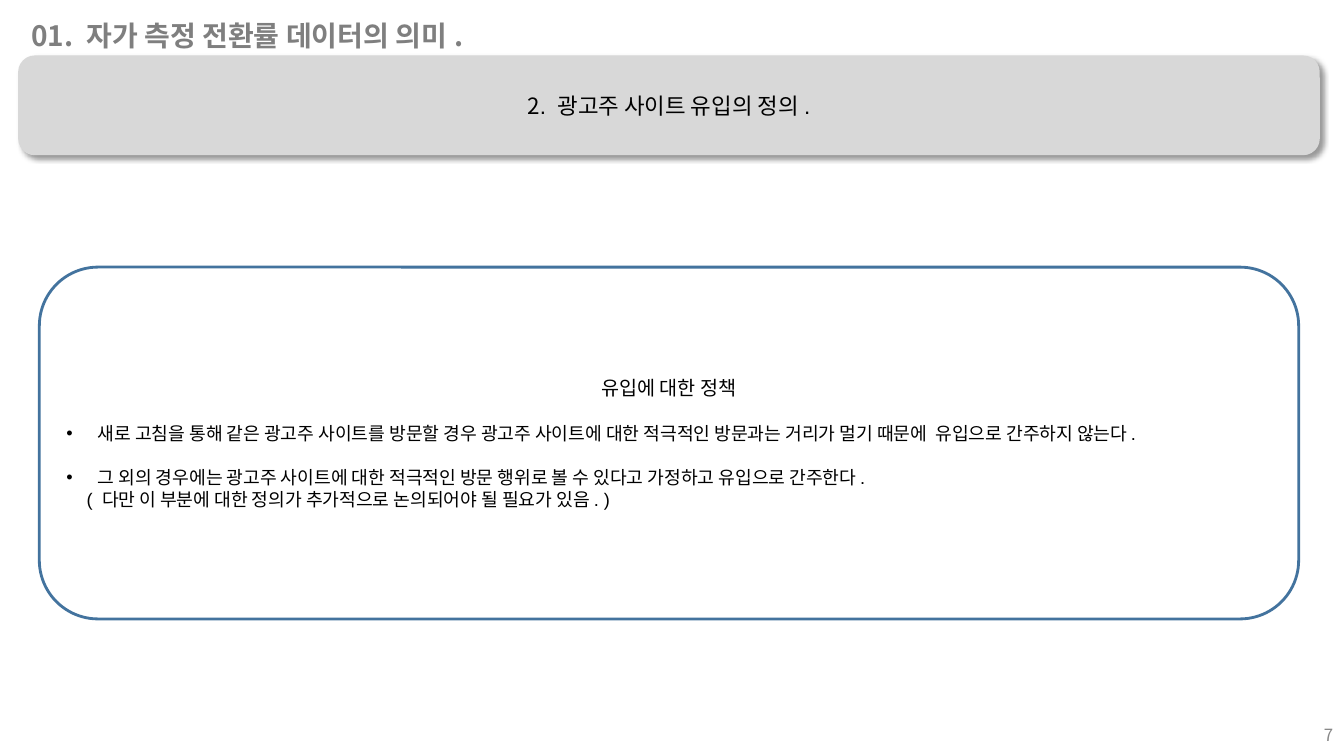
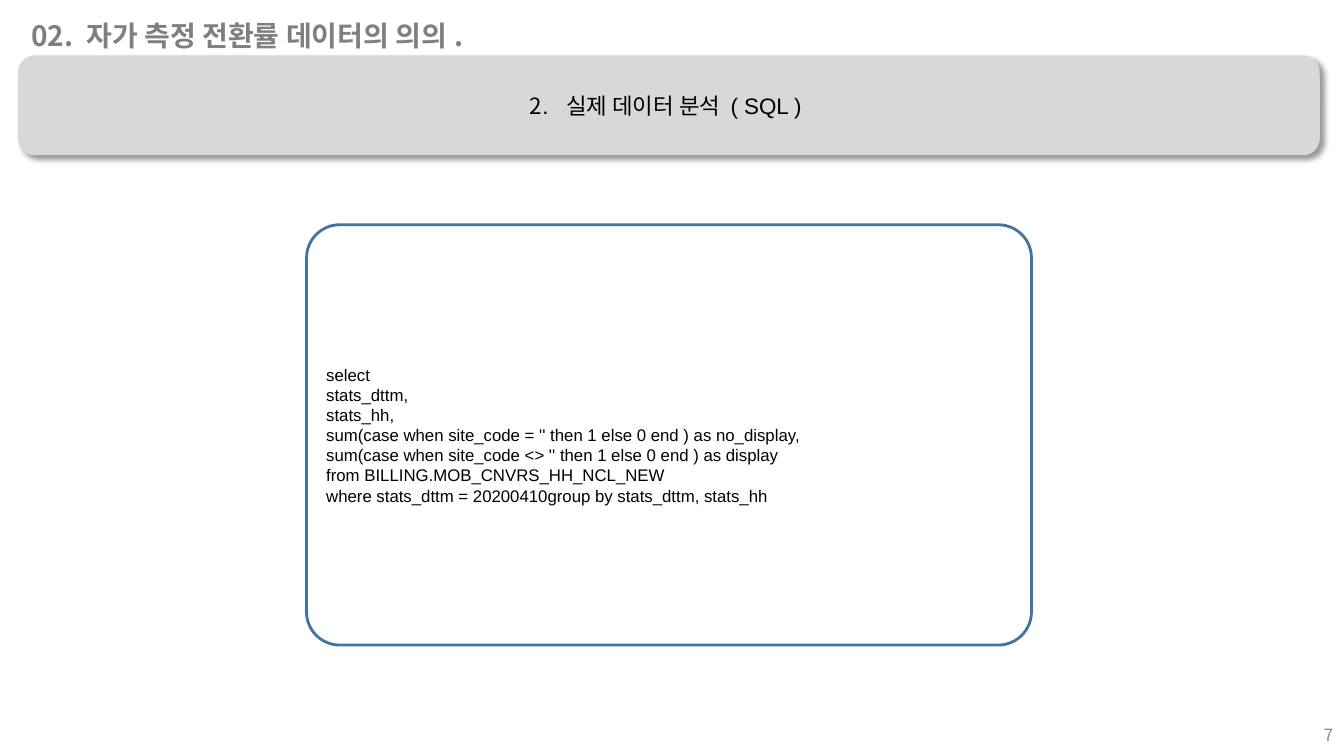
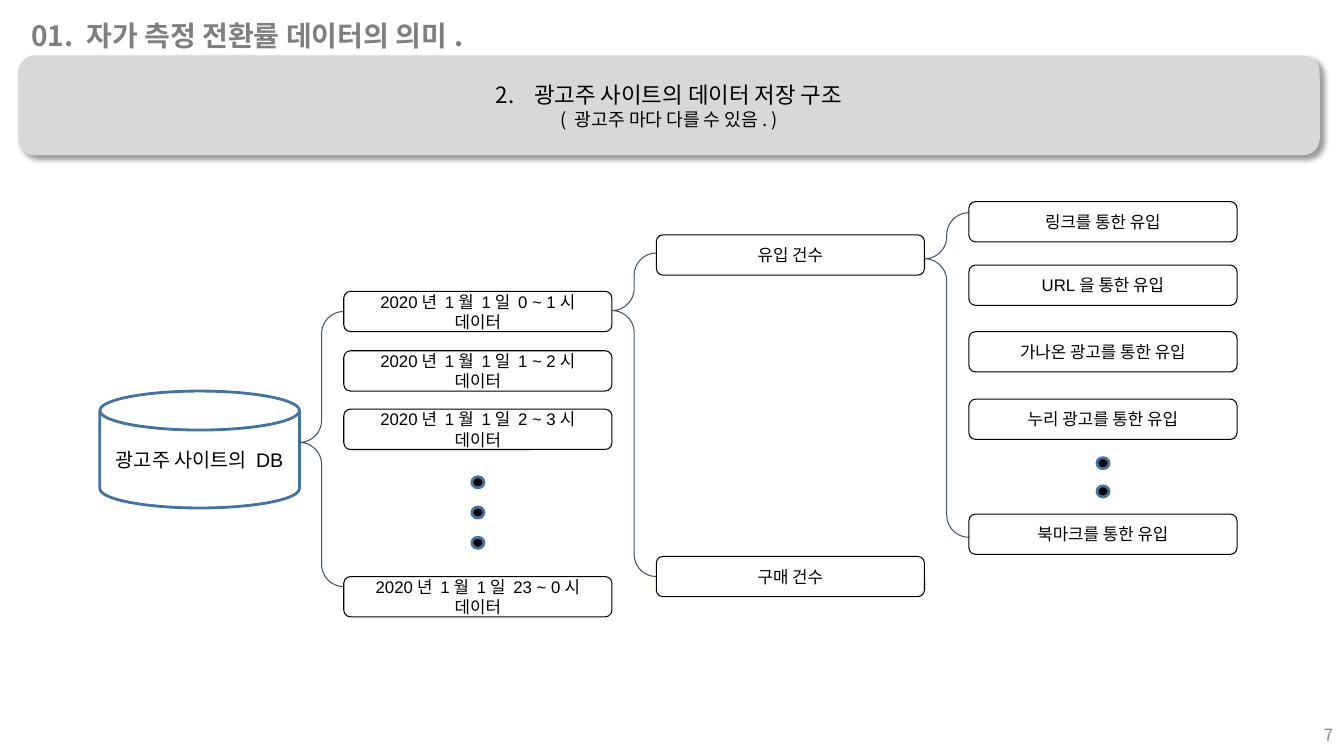
import pptx
import pptx.util
import pptx.oxml
import pptx.oxml.ns
import pptx.dml.color
import pptx.enum.shapes
import pptx.enum.text

Inches = pptx.util.Inches
Pt = pptx.util.Pt
RGBColor = pptx.dml.color.RGBColor
Shape = pptx.enum.shapes.MSO_SHAPE
Align = pptx.enum.text.PP_ALIGN
Anchor = pptx.enum.text.MSO_ANCHOR

BLACK = RGBColor(0x00, 0x00, 0x00)
WHITE = RGBColor(0xFF, 0xFF, 0xFF)
BLUE = RGBColor(0x43, 0x73, 0x9E)
SLATE = RGBColor(0x44, 0x54, 0x6A)
BAND_GRAY = RGBColor(0xD8, 0xD8, 0xD8)
TITLE_GRAY = RGBColor(0x7F, 0x7F, 0x7F)
NUMBER_GRAY = RGBColor(0x88, 0x88, 0x88)

LATIN = "Arial"
KOREAN = "Noto Sans CJK KR"
NAMESPACE = 'xmlns:a="http://schemas.openxmlformats.org/drawingml/2006/main"'
BAND_SHADOW = (
    f'<a:effectLst {NAMESPACE}><a:outerShdw blurRad="{Pt(4)}" dist="{Pt(3)}" '
    'dir="2700000" algn="tl" rotWithShape="0"><a:srgbClr val="000000">'
    '<a:alpha val="40000"/></a:srgbClr></a:outerShdw></a:effectLst>'
)
DOT_BULLET = '<a:buChar {} char="•"/>'
NUMBER_TWO = '<a:buAutoNum {} type="arabicPeriod" startAt="2"/>'


def set_values(target, values):
    for name, value in values.items():
        setattr(target, name, value)


class Deck:
    """Holds the shared style and the current slide."""

    def __init__(self):
        self.deck = pptx.Presentation()
        set_values(self.deck, {"slide_width": Inches(13.33), "slide_height": Inches(7.5)})
        self.page = None

    def new_page(self, title, band):
        self.page = self.deck.slides.add_slide(self.deck.slide_layouts[6])
        self.label((10.32, 7.09, 3, 0.4), "7", size=12, color=NUMBER_GRAY, align=Align.RIGHT)
        box = self.shape(Shape.ROUNDED_RECTANGLE, (0.18, 0.55, 12.91, 0.99), fill=BAND_GRAY)
        properties = box._element.spPr
        properties.remove(properties.find(pptx.oxml.ns.qn("a:effectLst")))
        properties.append(pptx.oxml.parse_xml(BAND_SHADOW))
        self.fill_text(box, band)
        self.label((0.21, 0.13, 4.93, 0.44), title, size=20, color=TITLE_GRAY, bold=True)

    def label(self, place, text, align=Align.LEFT, **style):
        box = self.page.shapes.add_textbox(*map(Inches, place))
        self.fill_text(box, [dict(style, spans=[(text, KOREAN)], align=align)])

    def shape(self, kind, place, fill=None, line=None, width=2, adjust=()):
        box = self.page.shapes.add_shape(kind, *map(Inches, place))
        box.shadow.inherit = False
        for index, value in enumerate(adjust):
            box.adjustments[index] = value
        if fill is None:
            box.fill.background()
        else:
            box.fill.solid()
            box.fill.fore_color.rgb = fill
        if line is None:
            box.line.fill.background()
        else:
            box.line.color.rgb = line
            box.line.width = Pt(width)
        return box

    def fill_text(self, box, paras):
        frame = box.text_frame
        set_values(frame, {"word_wrap": True, "vertical_anchor": Anchor.MIDDLE})
        for index, content in enumerate(paras):
            para = frame.paragraphs[0] if index == 0 else frame.add_paragraph()
            self.fill_para(para, **content)

    def fill_para(self, para, spans, size, align=Align.CENTER, color=BLACK, bold=False,
                  before=0, left=0, hanging=0, bullet=None):
        set_values(para, {"alignment": align, "space_before": Pt(before)})
        properties = para._p.get_or_add_pPr()
        properties.set("marL", str(Inches(left)))
        properties.set("indent", str(-Inches(hanging)))
        if bullet:
            for part in ('<a:buClr {}><a:srgbClr val="000000"/></a:buClr>',
                         f'<a:buFont {{}} typeface="{LATIN if bullet == DOT_BULLET else KOREAN}"/>',
                         bullet):
                properties.append(pptx.oxml.parse_xml(part.format(NAMESPACE)))
        for text, font in spans:
            span = para.add_run()
            span.text = text
            set_values(span.font, {"name": font, "size": Pt(size), "bold": bold})
            span.font.color.rgb = color
            span.font._element.find(pptx.oxml.ns.qn("a:latin")).addnext(
                pptx.oxml.parse_xml(f'<a:ea {NAMESPACE} typeface="{KOREAN}"/>'))

    def panel(self, place, paras, kind=Shape.ROUNDED_RECTANGLE, **style):
        self.fill_text(self.shape(kind, place, line=BLUE, **style), paras)

    def node(self, left, top, text):
        box = self.shape(Shape.FLOWCHART_ALTERNATE_PROCESS, (left, top, 2.66, 0.4),
                         line=BLACK, width=0.75)
        set_values(box.text_frame, {"margin_top": Inches(0.1), "margin_bottom": Inches(0.1)})
        self.fill_text(box, [{"spans": [(text, LATIN)], "size": 12}])

    def brace(self, left, top, height, point):
        self.shape(Shape.LEFT_BRACE, (left, top, 0.44, height), line=SLATE, width=0.75,
                   adjust=(0.5, point))

    def dots(self, left, tops):
        for top in tops:
            self.shape(Shape.OVAL, (left, top, 0.12, 0.11), fill=BLACK, line=BLUE)


def main():
    deck = Deck()
    meaning = "01. 자가 측정 전환률 데이터의 의미."

    # Definition of a visit
    deck.new_page(meaning, [
        {"spans": [("2", KOREAN), (". 광고주 사이트 유입의 정의.", LATIN)], "size": 16}])
    item = {"size": 13, "align": Align.LEFT}
    bulleted = dict(item, before=16, left=0.31, hanging=0.31, bullet=DOT_BULLET)
    deck.panel((0.39, 2.65, 12.49, 3.49), [
        {"spans": [("유입에 대한 정책", LATIN)], "size": 14},
        dict(bulleted, spans=[("새로 고침을 통해 같은 광고주 사이트를 방문할 경우 광고주 사이트에 대한 "
                               "적극적인 방문과는 거리가 멀기 때문에  유입으로 간주하지 않는다.", LATIN)]),
        dict(bulleted, spans=[("그 외의 경우에는 광고주 사이트에 대한 적극적인 방문 행위로 볼 수 있다고 "
                               "가정하고 유입으로 간주한다.", LATIN)]),
        dict(item, left=0.2, spans=[("( 다만 이 부분에 대한 정의가 추가적으로 논의되어야 될 필요가 있음. )",
                                     LATIN)]),
    ], fill=WHITE)

    # Query
    deck.new_page("02. 자가 측정 전환률 데이터의 의의.", [
        {"spans": [("2", KOREAN), (".  실제 데이터 분석 ( SQL ) ", LATIN)], "size": 16}])
    query = [
        "select",
        "stats_dttm,",
        "stats_hh,",
        "sum(case when site_code = '' then 1 else 0 end ) as no_display,",
        "sum(case when site_code <> '' then 1 else 0 end ) as display",
        "from BILLING.MOB_CNVRS_HH_NCL_NEW",
        "where stats_dttm = 20200410group by stats_dttm, stats_hh",
    ]
    deck.panel((3.04, 2.23, 7.19, 4.17),
               [{"spans": [(line, LATIN)], "size": 12, "align": Align.LEFT} for line in query],
               adjust=(0.079,))

    # Storage tree
    deck.new_page(meaning, [
        {"spans": [("광고주 사이트의 데이터 저장 구조", LATIN)], "size": 16,
         "left": 0.38, "hanging": 0.38, "bullet": NUMBER_TWO},
        {"spans": [("( 광고주 마다 다를 수 있음. )", KOREAN)], "size": 13}])
    deck.panel((0.99, 3.88, 1.98, 1.16),
               [{"spans": [("광고주 사이트의 DB", LATIN)], "size": 14}],
               kind=Shape.FLOWCHART_MAGNETIC_DISK)

    first_column, column_step, brace_width = 3.41, 3.1, 0.44
    columns = [
        ((3.09, 2.73, 0.476),
         [(top, f"2020년 1월 1일 {hours}시 데이터") for top, hours in
          ((2.89, "0 ~ 1"), (3.48, "1 ~ 2"), (4.06, "2 ~ 3"), (5.72, "23 ~ 0"))]),
        ((2.51, 3.21, 0.178),
         [(2.33, "유입 건수"), (5.52, "구매 건수")]),
        ((2.11, 3.22, 0.142),
         [(2, "링크를 통한 유입"), (2.63, "URL을 통한 유입"), (3.29, "가나온 광고를 통한 유입"),
          (3.96, "누리 광고를 통한 유입"), (5.1, "북마크를 통한 유입")]),
    ]
    for index, (brace, nodes) in enumerate(columns):
        left = first_column + index * column_step
        deck.brace(left - brace_width, *brace)
        for top, text in nodes:
            deck.node(left, top, text)
    deck.dots(4.68, (4.73, 5.03, 5.33))
    deck.dots(10.88, (4.54, 4.82))

    deck.deck.save("out.pptx")


if __name__ == "__main__":
    main()
